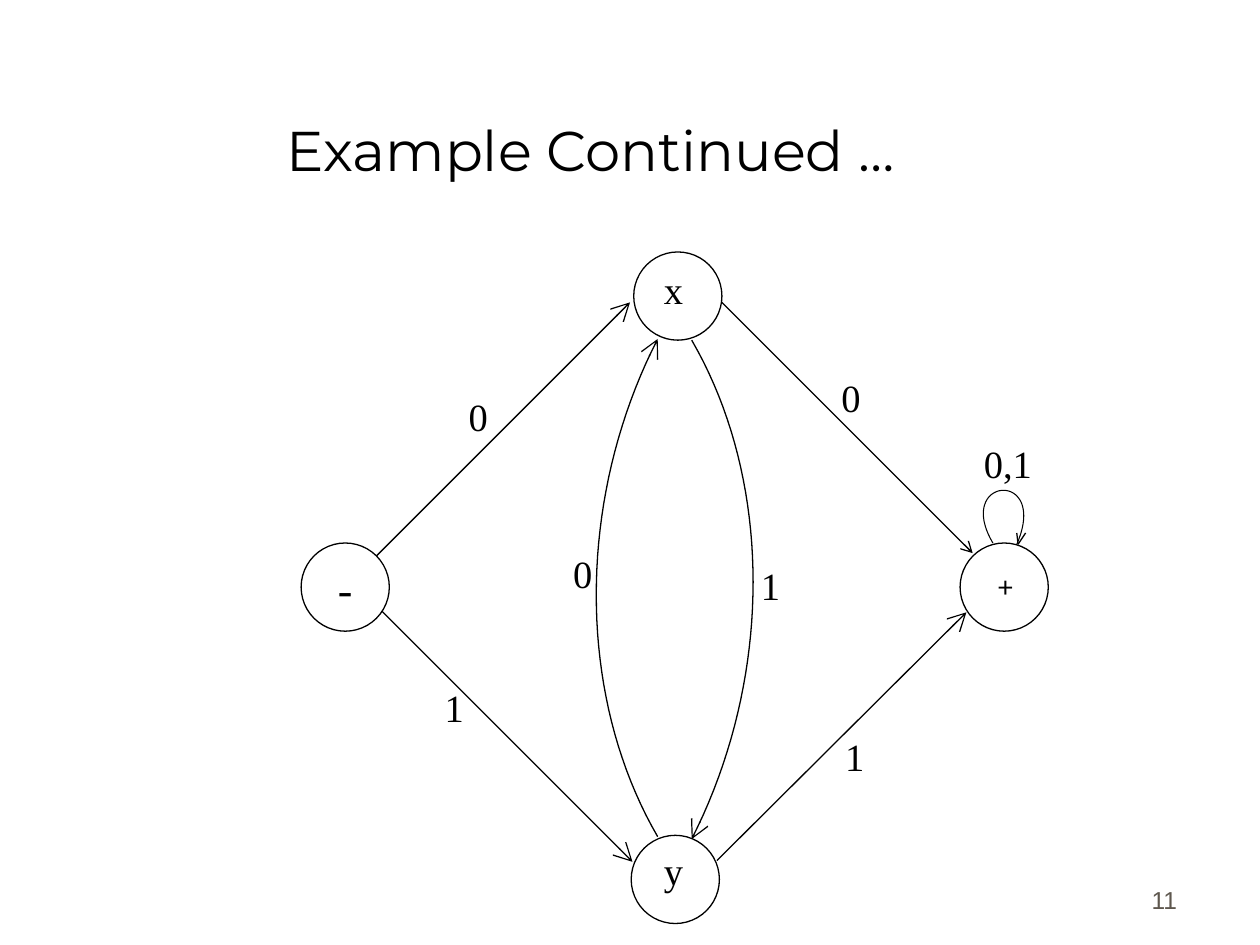
import pptx
import pptx.dml.color
import pptx.enum.shapes
import pptx.enum.text
import pptx.oxml
import pptx.oxml.ns
import pptx.util
from pptx.util import Inches

ALIGN = pptx.enum.text.PP_ALIGN
ANCHOR = pptx.enum.text.MSO_ANCHOR
SHAPE = pptx.enum.shapes.MSO_SHAPE
CONN = pptx.enum.shapes.MSO_CONNECTOR
SERIF = "Times New Roman"
BLACK = "000000"
SIZE = 0.7


def color(code):
    return pptx.dml.color.RGBColor.from_string(code)


def write(shape, text, size=22, font=SERIF, ink=BLACK, align=ALIGN.LEFT,
          anchor=ANCHOR.TOP):
    frame = shape.text_frame
    frame.word_wrap = True
    frame.vertical_anchor = anchor
    para = frame.paragraphs[0]
    para.alignment = align
    run = para.add_run()
    run.text = text
    run.font.size = pptx.util.Pt(size)
    run.font.name = font
    run.font.color.rgb = color(ink)


def label(slide, text, left, top, width=0.98, height=0.67, **look):
    box = slide.shapes.add_textbox(
        Inches(left), Inches(top), Inches(width), Inches(height))
    write(box, text, **look)


def stroke(shape, width=0.75, head=None):
    """Set a black line; head is the arrowhead size at its end."""
    shape.line.color.rgb = color(BLACK)
    shape.line.width = pptx.util.Pt(width)
    if head:
        shape.line._get_or_add_ln().append(pptx.oxml.parse_xml(
            f'<a:tailEnd {pptx.oxml.ns.nsdecls("a")} type="arrow" '
            f'w="{head}" len="{head}"/>'))


def line(slide, start, end, head=None):
    conn = slide.shapes.add_connector(
        CONN.STRAIGHT, *(Inches(v) for v in start + end))
    stroke(conn, head=head)
    conn._element.spPr.append(pptx.oxml.parse_xml(
        f'<a:effectLst {pptx.oxml.ns.nsdecls("a")}/>'))


def curve(slide, points, width=0.75, head=None, steps=40):
    """Draw a cubic curve through short segments from four control points."""
    def spot(t):
        parts = ((1 - t) ** 3, 3 * t * (1 - t) ** 2, 3 * t * t * (1 - t), t ** 3)
        return tuple(Inches(sum(w * p[axis] for w, p in zip(parts, points)))
                     for axis in (0, 1))

    build = slide.shapes.build_freeform(*spot(0))
    build.add_line_segments(
        [spot(i / steps) for i in range(1, steps + 1)], close=False)
    arc = build.convert_to_shape()
    arc.shadow.inherit = False
    arc.fill.background()
    stroke(arc, width, head)


def state(slide, left, top):
    node = slide.shapes.add_shape(
        SHAPE.OVAL, Inches(left), Inches(top), Inches(SIZE), Inches(SIZE))
    node.shadow.inherit = False
    node.fill.solid()
    node.fill.fore_color.rgb = color("FFFFFF")
    stroke(node)
    return node


def main():
    deck = pptx.Presentation()
    deck.slide_width, deck.slide_height = Inches(10), Inches(7.5)
    slide = deck.slides.add_slide(deck.slide_layouts[6])

    label(slide, "11", 7.36, 6.81, 2.08, 0.5, size=14, font="Arial",
          ink="5E574E", align=ALIGN.RIGHT, anchor=ANCHOR.BOTTOM)
    label(slide, "Example Continued …", 0.44, 0.25, 8.5, 1.25, size=32,
          font="Montserrat", align=ALIGN.CENTER, anchor=ANCHOR.BOTTOM)

    for start, end, head in (
            ((2.96, 4.44), (5, 2.4), "lg"),
            ((5.72, 2.39), (7.72, 4.39), "med"),
            ((3.02, 4.84), (5.02, 6.84), "lg"),
            ((5.69, 6.83), (7.67, 4.86), "lg")):
        line(slide, start, end, head)

    first = state(slide, 2.39, 4.31)
    write(first, "-", size=25, align=ALIGN.CENTER)
    for left, top in ((5.01, 6.63), (7.62, 4.31), (5.03, 2)):
        state(slide, left, top)
    label(slide, "+", 7.49, 4.31, height=0.68, size=16, font="Lato",
          align=ALIGN.CENTER, anchor=ANCHOR.MIDDLE)

    curve(slide, ((7.88, 4.31), (7.57, 3.78), (8.33, 3.72), (8.07, 4.32)), 0.6)
    for tip in ((8.14, 4.23), (8.07, 4.23)):
        line(slide, (8.08, 4.32), tip)
    curve(slide, ((5.49, 2.7), (6.14, 3.82), (6.14, 5.38), (5.49, 6.66)),
          head="lg")
    curve(slide, ((5.22, 6.64), (4.57, 5.52), (4.57, 3.96), (5.22, 2.69)),
          head="lg")

    for text, left, top, width, height in (
            ("0", 3.62, 3.07, 0.98, 0.67),
            ("1", 3.43, 5.38, 0.65, 0.5),
            ("0", 6.58, 2.92, 0.98, 0.67),
            ("1", 6.61, 5.77, 0.65, 0.5),
            ("1", 5.94, 4.41, 0.49, 0.5),
            ("0", 4.45, 4.32, 0.98, 0.67),
            ("0,1", 7.71, 3.44, 0.71, 0.51),
            ("x", 5.17, 2.06, 0.98, 0.67),
            ("y", 5.17, 6.67, 0.98, 0.67)):
        label(slide, text, left, top, width, height)

    deck.save("out.pptx")


if __name__ == "__main__":
    main()
